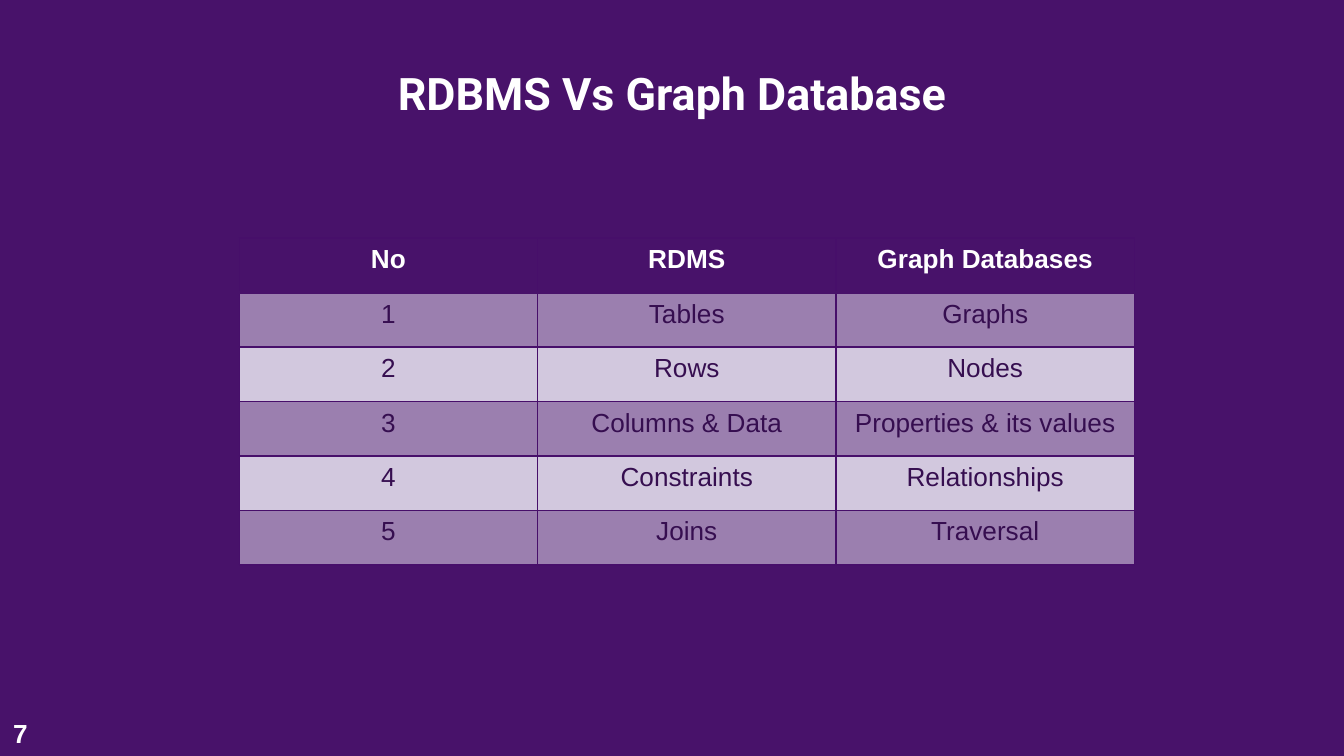
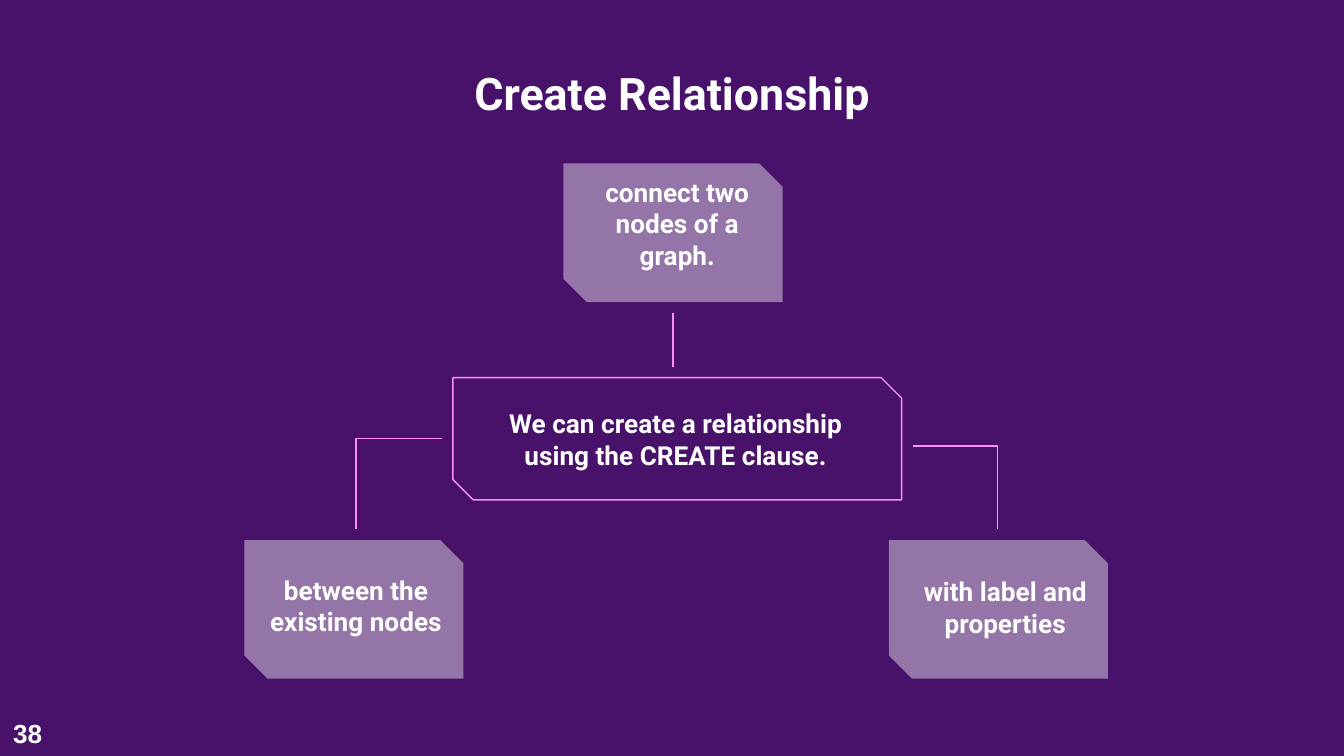
"""Builds two slides comparing databases and explaining graph relationships."""
from dataclasses import dataclass

from lxml import etree
from pptx import Presentation
from pptx import util as u
from pptx.dml.color import RGBColor
from pptx.enum import shapes, text
from pptx.oxml import ns
from pptx.util import Cm


@dataclass(frozen=True)
class Theme:
    background: str = "48126A"
    light: str = "FFFFFF"
    accent: str = "FF8CFF"
    border: str = "470F6A"
    cell_text: str = "360E50"
    band_dark: str = "9B7FAF"
    band_light: str = "D2C8DE"
    heading_font: str = "Roboto"
    body_font: str = "Arial"
    title_size: int = 24
    body_size: int = 14
    line_width: float = 0.75
    header_rule: float = 2
    plaque_opacity: int = 42
    snip: float = 0.167


@dataclass(frozen=True)
class Box:
    left: float
    top: float
    width: float
    height: float

    def lengths(self) -> tuple:
        return Cm(self.left), Cm(self.top), Cm(self.width), Cm(self.height)


@dataclass(frozen=True)
class Plaque:
    left: float
    top: float
    caption_left: float
    caption_top: float
    caption: str


@dataclass(frozen=True)
class Link:
    kind: shapes.MSO_CONNECTOR
    start: tuple[float, float]
    end: tuple[float, float]


THEME = Theme()
TITLE_BOX = Box(5.46, 0.99, 14.48, 2.62)
NUMBER_BOX = Box(0, 13.44, 1.09, 0.86)
TABLE_BOX = Box(4.52, 4.5, 16.92, 6.18)
CLAUSE_FRAME = Box(8.56, 7.14, 8.48, 2.31)
CLAUSE_CAPTION = Box(8.81, 7.44, 7.92, 1.7)
PLAQUE_SIZE = (4.14, 2.62)
CAPTION_SIZE = (3.96, 1.09)
INSET = 0.25

COMPARISON = [
    ("No", "RDMS", "Graph Databases"),
    ("1", "Tables", "Graphs"),
    ("2", "Rows", "Nodes"),
    ("3", "Columns & Data", "Properties & its values"),
    ("4", "Constraints", "Relationships"),
    ("5", "Joins", "Traversal"),
]
PLAQUES = [
    Plaque(10.65, 3.09, 10.82, 4.27, "connect two nodes of a graph."),
    Plaque(4.62, 10.21, 4.75, 11.2, "between the existing nodes"),
    Plaque(16.8, 10.21, 17.02, 11.23, "with label and properties"),
]
LINKS = [
    Link(shapes.MSO_CONNECTOR.STRAIGHT, (12.72, 5.92), (12.72, 6.93)),
    Link(shapes.MSO_CONNECTOR.ELBOW, (8.36, 8.29), (6.73, 10)),
    Link(shapes.MSO_CONNECTOR.ELBOW, (17.25, 8.43), (18.85, 10)),
]


def rgb(color: str) -> RGBColor:
    return RGBColor.from_string(color)


def write(frame, words: str, font: str, size: int, color: str = THEME.light,
          bold: bool = True, align=text.PP_ALIGN.CENTER) -> None:
    frame.text = words
    paragraph = frame.paragraphs[0]
    paragraph.alignment = align
    paragraph.font.name = font
    paragraph.font.size = u.Pt(size)
    paragraph.font.bold = bold
    paragraph.font.color.rgb = rgb(color)


def set_insets(frame) -> None:
    frame.margin_left = frame.margin_right = Cm(INSET)
    frame.margin_top = frame.margin_bottom = Cm(INSET)


def add_slide(presentation, title: str, number: int):
    slide = presentation.slides.add_slide(presentation.slide_layouts[5])
    heading = slide.shapes.title
    heading.left, heading.top, heading.width, heading.height = TITLE_BOX.lengths()
    frame = heading.text_frame
    set_insets(frame)
    frame.word_wrap = True
    frame.auto_size = text.MSO_AUTO_SIZE.NONE
    frame.vertical_anchor = text.MSO_ANCHOR.TOP
    write(frame, title, THEME.heading_font, THEME.title_size)

    frame = slide.shapes.add_textbox(*NUMBER_BOX.lengths()).text_frame
    frame.word_wrap = True
    write(frame, str(number), THEME.body_font, THEME.body_size,
          align=text.PP_ALIGN.LEFT)
    return slide


def add_caption(slide, box: Box, words: str) -> None:
    frame = slide.shapes.add_textbox(*box.lengths()).text_frame
    set_insets(frame)
    frame.word_wrap = True
    frame.vertical_anchor = text.MSO_ANCHOR.BOTTOM
    write(frame, words, THEME.heading_font, THEME.body_size)


def add_snipped(slide, box: Box):
    shape = slide.shapes.add_shape(
        shapes.MSO_SHAPE.SNIP_2_DIAG_RECTANGLE, *box.lengths())
    shape.shadow.inherit = False
    shape.adjustments[0] = 0
    shape.adjustments[1] = THEME.snip
    return shape


def add_plaque(slide, plaque: Plaque) -> None:
    shape = add_snipped(slide, Box(plaque.left, plaque.top, *PLAQUE_SIZE))
    shape.fill.solid()
    shape.fill.fore_color.rgb = rgb(THEME.light)
    shape.line.fill.background()
    color = shape.fill._xPr.find(".//" + ns.qn("a:srgbClr"))
    etree.SubElement(color, ns.qn("a:alpha"), val=str(THEME.plaque_opacity * 1000))
    add_caption(slide, Box(plaque.caption_left, plaque.caption_top, *CAPTION_SIZE),
                plaque.caption)


def style_line(line) -> None:
    line.color.rgb = rgb(THEME.accent)
    line.width = u.Pt(THEME.line_width)


def add_link(slide, link: Link) -> None:
    points = [Cm(value) for value in link.start + link.end]
    connector = slide.shapes.add_connector(link.kind, *points)
    style_line(connector.line)
    properties = connector._element.spPr
    etree.SubElement(properties, ns.qn("a:effectLst"))
    if link.kind == shapes.MSO_CONNECTOR.ELBOW:
        guides = properties.find(".//" + ns.qn("a:avLst"))
        etree.SubElement(guides, ns.qn("a:gd"), name="adj1", fmla="val 100000")


def set_border(cell, side: str, color: str, width: float) -> None:
    properties = cell._tc.get_or_add_tcPr()
    line = etree.SubElement(properties, ns.qn(f"a:ln{side}"), w=str(u.Pt(width)))
    fill = etree.SubElement(line, ns.qn("a:solidFill"))
    etree.SubElement(fill, ns.qn("a:srgbClr"), val=color)


def style_cell(cell, row: int, words: str) -> None:
    header = row == 0
    for side in "LRTB":
        if (header and side == "B") or (row == 1 and side == "T"):
            set_border(cell, side, THEME.background, THEME.header_rule)
        else:
            set_border(cell, side, THEME.border, THEME.line_width)
    band = THEME.band_dark if row % 2 else THEME.band_light
    cell.fill.solid()
    cell.fill.fore_color.rgb = rgb(THEME.background if header else band)
    write(cell.text_frame, words, THEME.body_font, THEME.body_size,
          THEME.light if header else THEME.cell_text, header)


def add_comparison(slide) -> None:
    table = slide.shapes.add_table(
        len(COMPARISON), len(COMPARISON[0]), *TABLE_BOX.lengths()).table
    table.horz_banding = False
    for row, entries in enumerate(COMPARISON):
        for column, words in enumerate(entries):
            style_cell(table.cell(row, column), row, words)


def add_relationship(slide) -> None:
    frame = add_snipped(slide, CLAUSE_FRAME)
    frame.fill.background()
    style_line(frame.line)
    add_caption(slide, CLAUSE_CAPTION,
                "We can create a relationship using the CREATE clause.")
    for plaque in PLAQUES:
        add_plaque(slide, plaque)
    for link in LINKS:
        add_link(slide, link)


def main() -> None:
    presentation = Presentation()
    presentation.slide_width = Cm(25.4)
    presentation.slide_height = Cm(14.29)
    background = presentation.slide_master.background.fill
    background.solid()
    background.fore_color.rgb = rgb(THEME.background)
    add_comparison(add_slide(presentation, "RDBMS Vs Graph Database", 7))
    add_relationship(add_slide(presentation, "Create Relationship", 38))
    presentation.save("out.pptx")


if __name__ == "__main__":
    main()
